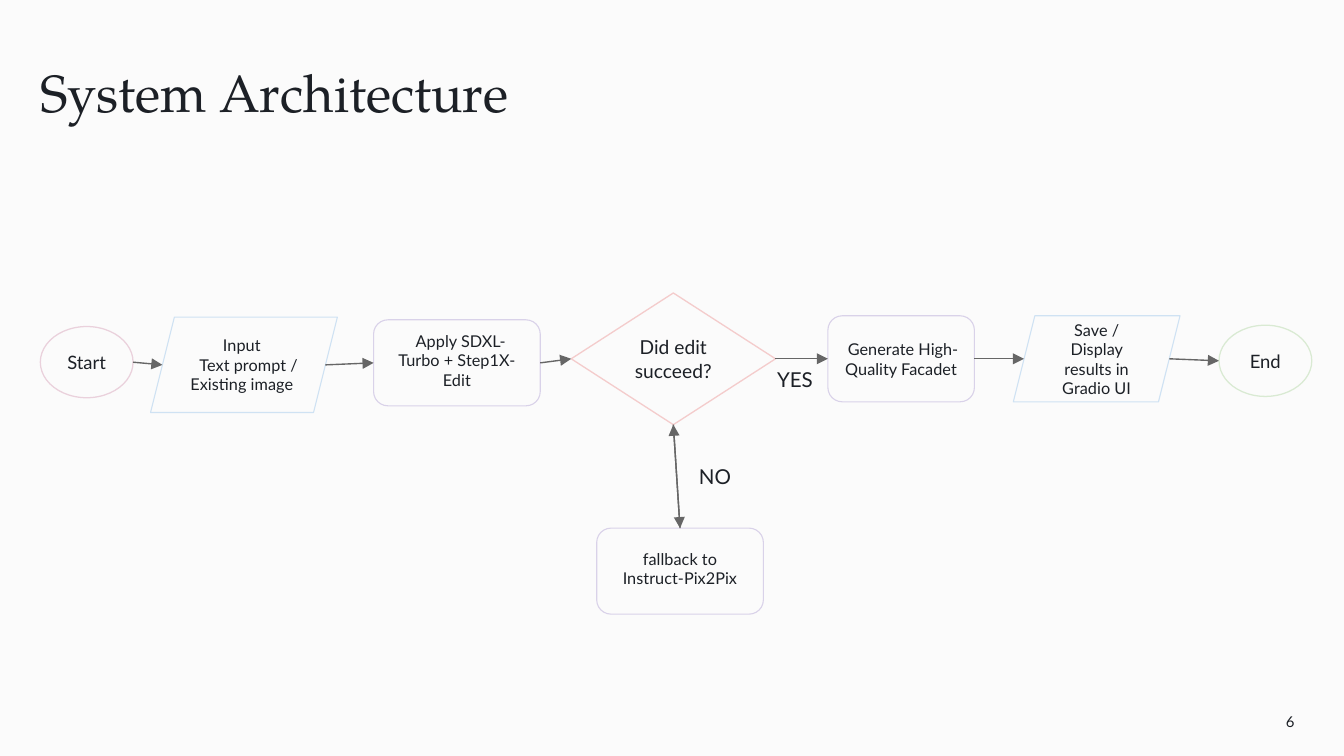
"""Build the System Architecture flowchart slide."""
from lxml import etree
from pptx import Presentation
from pptx.dml.color import RGBColor
from pptx.enum.shapes import MSO_CONNECTOR, MSO_SHAPE
from pptx.enum.text import MSO_ANCHOR, MSO_AUTO_SIZE, PP_ALIGN
from pptx.oxml.ns import qn
from pptx.util import Inches, Pt

OVAL, DATA = MSO_SHAPE.OVAL, MSO_SHAPE.PARALLELOGRAM
STEP, TEST = MSO_SHAPE.FLOWCHART_ALTERNATE_PROCESS, MSO_SHAPE.FLOWCHART_DECISION
LEFT, MID = PP_ALIGN.LEFT, PP_ALIGN.CENTER
TOP, CENTER = MSO_ANCHOR.TOP, MSO_ANCHOR.MIDDLE
STRAIGHT = MSO_CONNECTOR.STRAIGHT
COLORS = {"paper": "FBFBFB", "ink": "1C2026", "arrow": "666666", "rose": "EAD1DC",
          "blue": "CFE2F3", "violet": "D9D2E9", "red": "F4CCCC", "green": "D9EAD3"}
HEAD, BODY = "TeX Gyre Pagella", "Lato"

# kind: preset, line colour, line width, text size, inset
KINDS = {"start": (OVAL, "rose", 0.68, 9.9, 0.09),
         "end": (OVAL, "green", 0.68, 9.9, 0.09),
         "data": (DATA, "blue", 0.59, 8.7, 0.08),
         "step": (STEP, "violet", 0.59, 8.7, 0.08),
         "test": (TEST, "red", 0.7, 10.3, 0.09)}
# name: kind, box, text, first-line indents, upward shift of the text
NODES = {
    "input": ("data", (1.12, 2.36, 1.39, 0.71),
              "Input \nText prompt / Existing image ", (0, 0.07), 0),
    "start": ("start", (0.3, 2.43, 0.69, 0.53), "Start", (0,), 0),
    "apply": ("step", (2.78, 2.38, 1.24, 0.64),
              "Apply SDXL-Turbo + Step1X-Edit", (0.05,), 0.02),
    "end": ("end", (9.07, 2.42, 0.69, 0.53), "End", (0,), 0),
    "check": ("test", (4.25, 2.18, 1.52, 0.98), "Did edit succeed?", (0,), 0),
    "make": ("step", (6.16, 2.35, 1.09, 0.64),
             "Generate High-Quality Facadet", (0.03,), 0),
    "save": ("data", (7.54, 2.35, 1.24, 0.64),
             "Save / Display results in Gradio UI", (0,), 0),
    "fall": ("step", (4.44, 3.93, 1.24, 0.64),
             "fallback to Instruct-Pix2Pix", (0,), 0.02),
}
# from node and side, to node and side
LINKS = [("start", 3, "input", 1), ("input", 3, "apply", 1), ("apply", 3, "check", 1),
         ("check", 3, "make", 1), ("make", 3, "save", 1), ("save", 3, "end", 1),
         ("check", 2, "fall", 0), ("fall", 0, "check", 2)]
# text, box, size, alignment, anchor
LABELS = [("YES", (5.57, 2.63, 0.69, 0.39), 11, MID, TOP),
          ("NO", (5.06, 3.35, 0.52, 0.39), 11, MID, TOP),
          ("6", (9.47, 5.27, 0.37, 0.2), 8, LEFT, CENTER)]


def rgb(name):
    return RGBColor.from_string(COLORS[name])


def write(frame, text, size, align, anchor, pad, font=BODY):
    frame.text = text
    frame.word_wrap = True
    frame.auto_size = MSO_AUTO_SIZE.NONE
    frame.vertical_anchor = anchor
    frame.margin_left = frame.margin_right = Inches(pad)
    frame.margin_top = frame.margin_bottom = Inches(pad)
    for para in frame.paragraphs:
        para.alignment = align
        for run in para.runs:
            run.font.name, run.font.size = font, Pt(size)
            run.font.color.rgb = rgb("ink")


def add_node(slide, kind, box, text, dents, lift):
    preset, edge, width, size, pad = KINDS[kind]
    node = slide.shapes.add_shape(preset, *map(Inches, box))
    node.shadow.inherit = False
    node.fill.solid()
    node.fill.fore_color.rgb = rgb("paper")
    node.line.color.rgb = rgb(edge)
    node.line.width = Pt(width)
    frame = node.text_frame
    write(frame, text, size, MID, CENTER, pad)
    frame.margin_bottom = Inches(pad + 2 * lift)
    for para, dent in zip(frame.paragraphs, dents):
        if dent:
            para._p.get_or_add_pPr().set("indent", str(Inches(dent)))
    return node


def port(node, side):
    x, y, w, h = node.left, node.top, node.width, node.height
    slant = min(w, h) // 8 if node.auto_shape_type == DATA else 0
    return [(x + w // 2, y), (x + slant, y + h // 2),
            (x + w // 2, y + h), (x + w - slant, y + h // 2)][side]


def add_link(slide, first, out, last, into):
    link = slide.shapes.add_connector(STRAIGHT, *port(first, out), *port(last, into))
    if first.auto_shape_type in (STEP, TEST):
        link.begin_connect(first, out)
    if last.auto_shape_type in (STEP, TEST):
        link.end_connect(last, into)
    link.line.color.rgb = rgb("arrow")
    link.line.width = Pt(0.75)
    props = link._element.spPr
    etree.SubElement(props.find(qn("a:ln")), qn("a:tailEnd"),
                     type="triangle", w="med", len="med")
    etree.SubElement(props, qn("a:effectLst"))


def main():
    deck = Presentation()
    deck.slide_width = Inches(10)
    deck.slide_height = deck.slide_width * 9 // 16
    slide = deck.slides.add_slide(deck.slide_layouts[5])
    slide.background.fill.solid()
    slide.background.fill.fore_color.rgb = rgb("paper")

    title = slide.shapes.title
    title.left, title.top, title.width, title.height = map(Inches, (0.3, 0.5, 4.16, 0.42))
    write(title.text_frame, "System Architecture", 28, LEFT, TOP, 0, HEAD)
    title.text_frame.paragraphs[0].line_spacing = 0.9

    nodes = {name: add_node(slide, *spec) for name, spec in NODES.items()}
    for first, out, last, into in LINKS:
        add_link(slide, nodes[first], out, nodes[last], into)
    for text, box, size, align, anchor in LABELS:
        label = slide.shapes.add_textbox(*map(Inches, box))
        write(label.text_frame, text, size, align, anchor, 0.1)
    deck.save("out.pptx")


if __name__ == "__main__":
    main()
